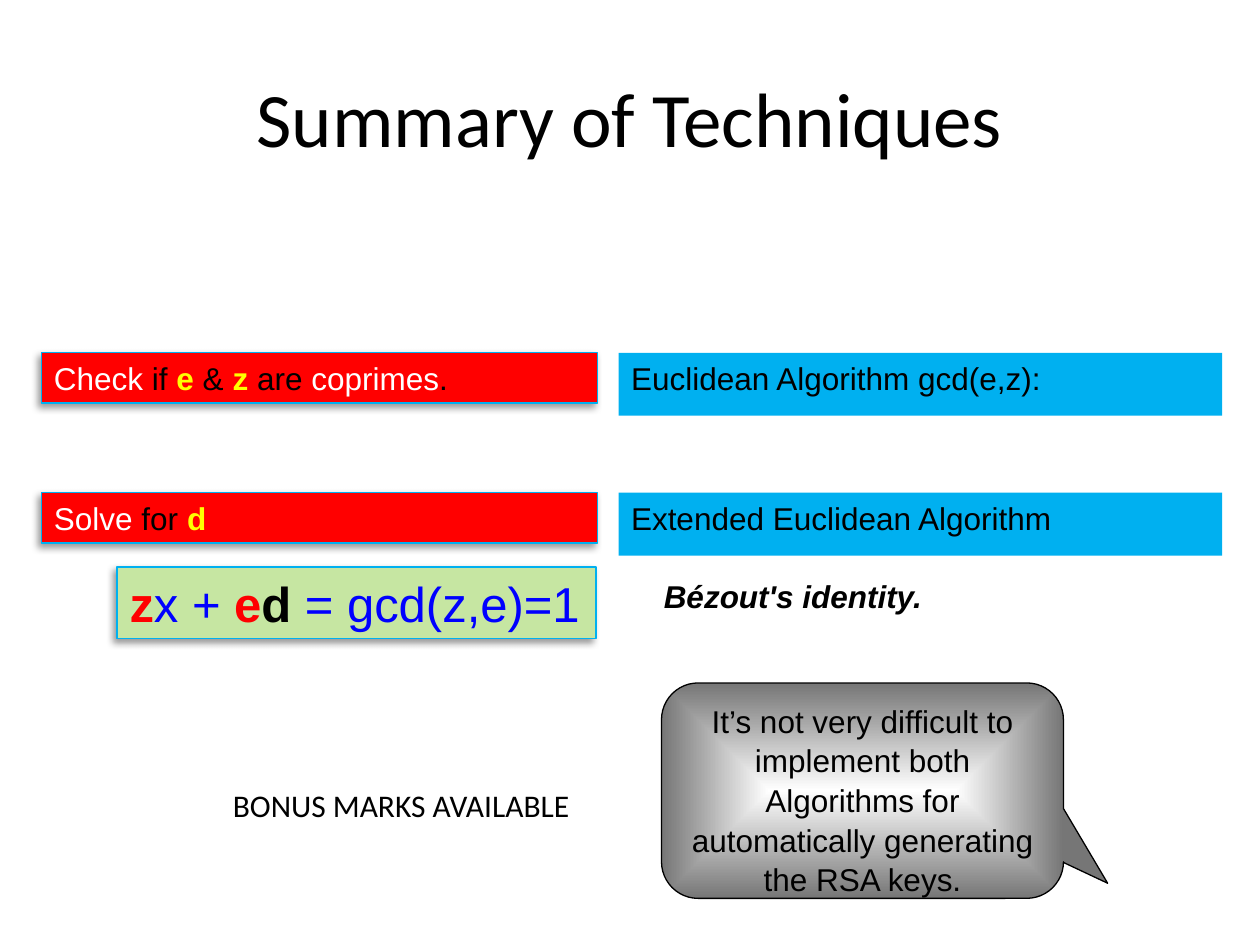
import pptx
import pptx.util
import pptx.dml.color
import pptx.enum.shapes
import pptx.enum.text
import pptx.oxml
import pptx.oxml.ns

Inches = pptx.util.Inches
Pt = pptx.util.Pt
Shape = pptx.enum.shapes.MSO_SHAPE
Align = pptx.enum.text.PP_ALIGN
Anchor = pptx.enum.text.MSO_ANCHOR
BLACK, WHITE, RED, BLUE = "000000", "FFFFFF", "FF0000", "0000FF"
YELLOW, CYAN, GREEN, GRAY = "FFFF00", "00B0F0", "C6E6A2", "767676"


def color(text):
    """Turn a hex string into a colour."""
    return pptx.dml.color.RGBColor.from_string(text)


def write(shape, runs, size=18, font="Arial", align=Align.LEFT, anchor=Anchor.TOP):
    """Write runs of (text, colour, bold, italic) into a shape."""
    frame = shape.text_frame
    frame.word_wrap = True
    frame.vertical_anchor = anchor
    para = frame.paragraphs[0]
    para.alignment = align
    for text, tint, bold, slant in runs:
        run = para.add_run()
        run.text = text
        run.font.name = font
        run.font.size = Pt(size)
        run.font.bold = bold
        run.font.italic = slant
        run.font.color.rgb = color(tint)
    return para


def plain(text, tint=BLACK):
    """Describe a regular run."""
    return text, tint, False, False


def strong(text, tint=BLACK, slant=False):
    """Describe a bold run."""
    return text, tint, True, slant


def label(slide, box, runs, **style):
    """Place a text box."""
    shape = slide.shapes.add_textbox(*map(Inches, box))
    write(shape, runs, **style)


def shade(shape):
    """Add a soft shadow at the lower left."""
    space = pptx.oxml.ns.nsdecls("a")
    shape.element.spPr.append(pptx.oxml.parse_xml(
        f'<a:effectLst {space}><a:outerShdw blurRad="{Pt(4)}" dist="{Pt(3)}" '
        'dir="8100000" algn="tr" rotWithShape="0"><a:srgbClr val="000000">'
        '<a:alpha val="40000"/></a:srgbClr></a:outerShdw></a:effectLst>'))


def panel(slide, box, fill, runs, raised=False, size=18):
    """Place a filled box, outlined and shadowed when raised."""
    shape = slide.shapes.add_shape(Shape.RECTANGLE, *map(Inches, box))
    shape.fill.solid()
    shape.fill.fore_color.rgb = color(fill)
    if raised:
        shape.line.color.rgb = color(CYAN)
        shape.line.width = Pt(0.75)
        shade(shape)
    else:
        shape.line.fill.background()
        shape.shadow.inherit = False
    write(shape, runs, size)


def pair(slide, box, task, method):
    """Place a task beside the method that solves it."""
    left, top, width, height = box
    panel(slide, (left, top, 4.41, height - 0.1), RED, task, True)
    panel(slide, (left + 4.58, top, width - 4.58, height), CYAN, method)


def bubble(slide, box, text):
    """Place a speech bubble with a gradient that is light in the middle."""
    shape = slide.shapes.add_shape(
        Shape.ROUNDED_RECTANGULAR_CALLOUT, *map(Inches, box))
    for index, value in enumerate((0.61, 0.43, 0.17)):
        shape.adjustments[index] = value
    shape.shadow.inherit = False
    shape.line.color.rgb = color(BLACK)
    shape.line.width = Pt(0.75)
    shape.fill.gradient()
    for stop, tint, place in zip(shape.fill.gradient_stops, (WHITE, GRAY), (0, 1)):
        stop.color.rgb = color(tint)
        stop.position = place
    line = shape.element.spPr.find(".//" + pptx.oxml.ns.qn("a:lin"))
    space = pptx.oxml.ns.nsdecls("a")
    line.getparent().replace(line, pptx.oxml.parse_xml(
        f'<a:path {space} path="rect"><a:fillToRect l="50000" t="50000" '
        'r="50000" b="50000"/></a:path>'))
    para = write(shape, [plain(text)], align=Align.CENTER)
    para.line_spacing = 1.05


def main():
    """Build the slide and save it."""
    deck = pptx.Presentation()
    deck.slide_width, deck.slide_height = Inches(10), Inches(7.5)
    slide = deck.slides.add_slide(deck.slide_layouts[6])
    label(slide, (0.5, 0.3, 9, 1.25), [plain("Summary of Techniques")],
          size=44, font="Calibri", align=Align.CENTER, anchor=Anchor.MIDDLE)
    check = [plain("Check", WHITE), plain(" if "), strong("e", YELLOW),
             plain(" & "), strong("z", YELLOW), plain(" are "),
             plain("coprimes", WHITE), plain(".")]
    solve = [plain("Solve", WHITE), plain(" for "), strong("d", YELLOW)]
    pair(slide, (0.33, 2.8, 9.37, 0.5), check,
         [plain("Euclidean Algorithm gcd(e,z):")])
    pair(slide, (0.33, 3.91, 9.37, 0.5), solve,
         [plain("Extended Euclidean Algorithm")])
    rule = [strong("z", RED), plain("x + ", BLUE), strong("e", RED),
            strong("d "), plain("= gcd(z,e)=1", BLUE)]
    panel(slide, (0.93, 4.5, 3.8, 0.57), GREEN, rule, True, 28)
    label(slide, (5.17, 4.53, 2.96, 0.5),
          [strong("Bézout's identity.", slant=True)])
    bubble(slide, (5.25, 5.42, 3.19, 1.71),
           "It’s not very difficult to implement both Algorithms for "
           "automatically generating the RSA keys.")
    label(slide, (1.75, 6.19, 2.9, 0.4), [plain("BONUS MARKS AVAILABLE")],
          font="Calibri")
    deck.save("out.pptx")


if __name__ == "__main__":
    main()
